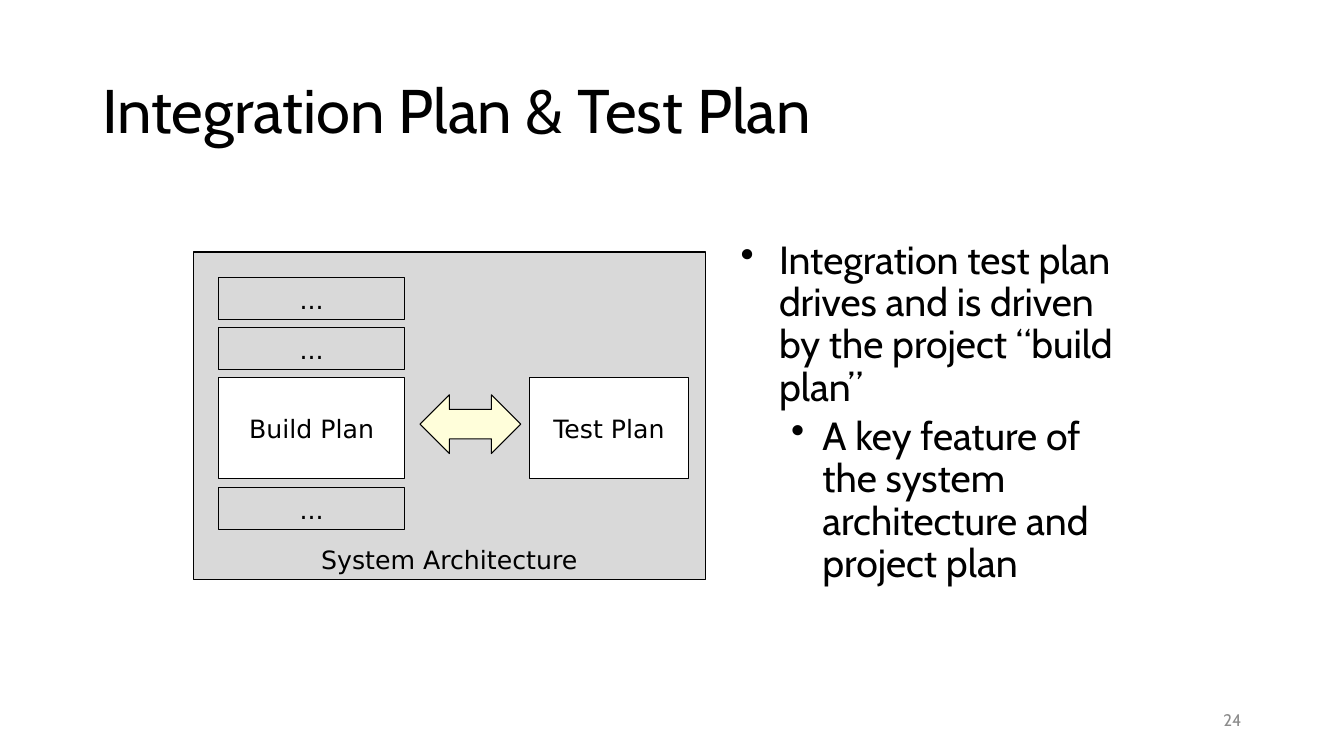
import pptx
import pptx.dml.color
import pptx.enum.shapes
import pptx.enum.text
import pptx.util
from lxml import etree
from pptx.oxml.ns import qn

RGBColor = pptx.dml.color.RGBColor
BLACK = RGBColor(0x00, 0x00, 0x00)
WHITE = RGBColor(0xFF, 0xFF, 0xFF)
PANEL_GREY = RGBColor(0xD9, 0xD9, 0xD9)
ARROW_CREAM = RGBColor(0xFF, 0xFE, 0xDA)
NUMBER_GREY = RGBColor(0x8C, 0x8C, 0x8C)

Shape = pptx.enum.shapes.MSO_SHAPE
Anchor = pptx.enum.text.MSO_ANCHOR
Align = pptx.enum.text.PP_ALIGN

GRID_COLUMNS, GRID_ROWS = 160, 90
SLIDE_WIDTH, SLIDE_HEIGHT = pptx.util.Inches(13.33), pptx.util.Inches(7.5)
HEADING_FONT, DIAGRAM_FONT = "Cabin", "DejaVu Sans"

STACK_LEFT, STACK_TOP, STACK_WIDTH, STACK_GAP = 26, 33, 22.2, 1
STACK = [
    ("...", 5, PANEL_GREY, Anchor.BOTTOM),
    ("...", 5, PANEL_GREY, Anchor.BOTTOM),
    ("Build Plan", 12, WHITE, Anchor.MIDDLE),
    ("...", 5, PANEL_GREY, Anchor.BOTTOM),
]
BULLETS = [
    ("Integration test plan drives and is driven by the project “build plan”", 0, 0.38, -0.38, 0),
    ("A key feature of the system architecture and project plan", 1, 0.81, -0.31, 5),
]


def place(column, row, columns, rows):
    """Turn grid units into left, top, width and height."""
    across, down = SLIDE_WIDTH / GRID_COLUMNS, SLIDE_HEIGHT / GRID_ROWS
    return round(column * across), round(row * down), round(columns * across), round(rows * down)


def style(para, size, font, color):
    """Set size, typeface and colour on the runs of a paragraph."""
    for span in para.runs:
        span.font.size = pptx.util.Pt(size)
        span.font.name = font
        span.font.color.rgb = color


def add_block(page, kind, area, fill):
    """Draw an outlined preset shape."""
    block = page.shapes.add_shape(kind, *place(*area))
    block.shadow.inherit = False
    block.fill.solid()
    block.fill.fore_color.rgb = fill
    block.line.color.rgb = BLACK
    block.line.width = pptx.util.Pt(0.75)
    return block


def add_labelled_box(page, area, label, fill, anchor):
    """Draw a diagram box with a centred label."""
    frame = add_block(page, Shape.RECTANGLE, area, fill).text_frame
    frame.word_wrap = False
    frame.vertical_anchor = anchor
    frame.text = label
    frame.paragraphs[0].alignment = Align.CENTER
    style(frame.paragraphs[0], 18, DIAGRAM_FONT, BLACK)


def add_text(page, area, text, size, color, align=Align.LEFT):
    """Place one line of vertically centred text."""
    frame = page.shapes.add_textbox(*place(*area)).text_frame
    frame.word_wrap = True
    frame.vertical_anchor = Anchor.MIDDLE
    frame.text = text
    para = frame.paragraphs[0]
    para.alignment = align
    para.line_spacing = 0.9
    style(para, size, HEADING_FONT, color)


def add_bullets(page, area, bullets):
    """Place a bulleted list with hanging indents."""
    frame = page.shapes.add_textbox(*place(*area)).text_frame
    frame.word_wrap = True
    for index, (text, level, margin, indent, space) in enumerate(bullets):
        para = frame.add_paragraph() if index else frame.paragraphs[0]
        para.text = text
        para.level = level
        properties = para._p.get_or_add_pPr()
        properties.set("marL", str(pptx.util.Inches(margin)))
        properties.set("indent", str(pptx.util.Inches(indent)))
        etree.SubElement(properties, qn("a:buChar"), char="•")
        para.line_spacing = 0.9
        para.space_before = pptx.util.Pt(space)
        style(para, 28, HEADING_FONT, BLACK)


def add_stack(page):
    """Draw the column of plans from top to bottom."""
    row = STACK_TOP
    for label, rows, fill, anchor in STACK:
        add_labelled_box(page, (STACK_LEFT, row, STACK_WIDTH, rows), label, fill, anchor)
        row += rows + STACK_GAP


def main():
    """Build the slide and save it."""
    deck = pptx.Presentation()
    deck.slide_width, deck.slide_height = SLIDE_WIDTH, SLIDE_HEIGHT
    page = deck.slides.add_slide(deck.slide_layouts[6])
    add_labelled_box(page, (23, 30, 61, 39), "System Architecture", PANEL_GREY, Anchor.BOTTOM)
    add_text(page, (11, 4.8, 138, 17.4), "Integration Plan & Test Plan", 44, BLACK)
    add_bullets(page, (87, 28, 49, 46), BULLETS)
    add_stack(page)
    add_labelled_box(page, (63, 45, 19, 12), "Test Plan", WHITE, Anchor.MIDDLE)
    add_block(page, Shape.LEFT_RIGHT_ARROW, (50, 47, 12, 7), ARROW_CREAM)
    add_text(page, (113, 83.4, 36, 4.8), "24", 12, NUMBER_GREY, Align.RIGHT)
    deck.save("out.pptx")


if __name__ == "__main__":
    main()
